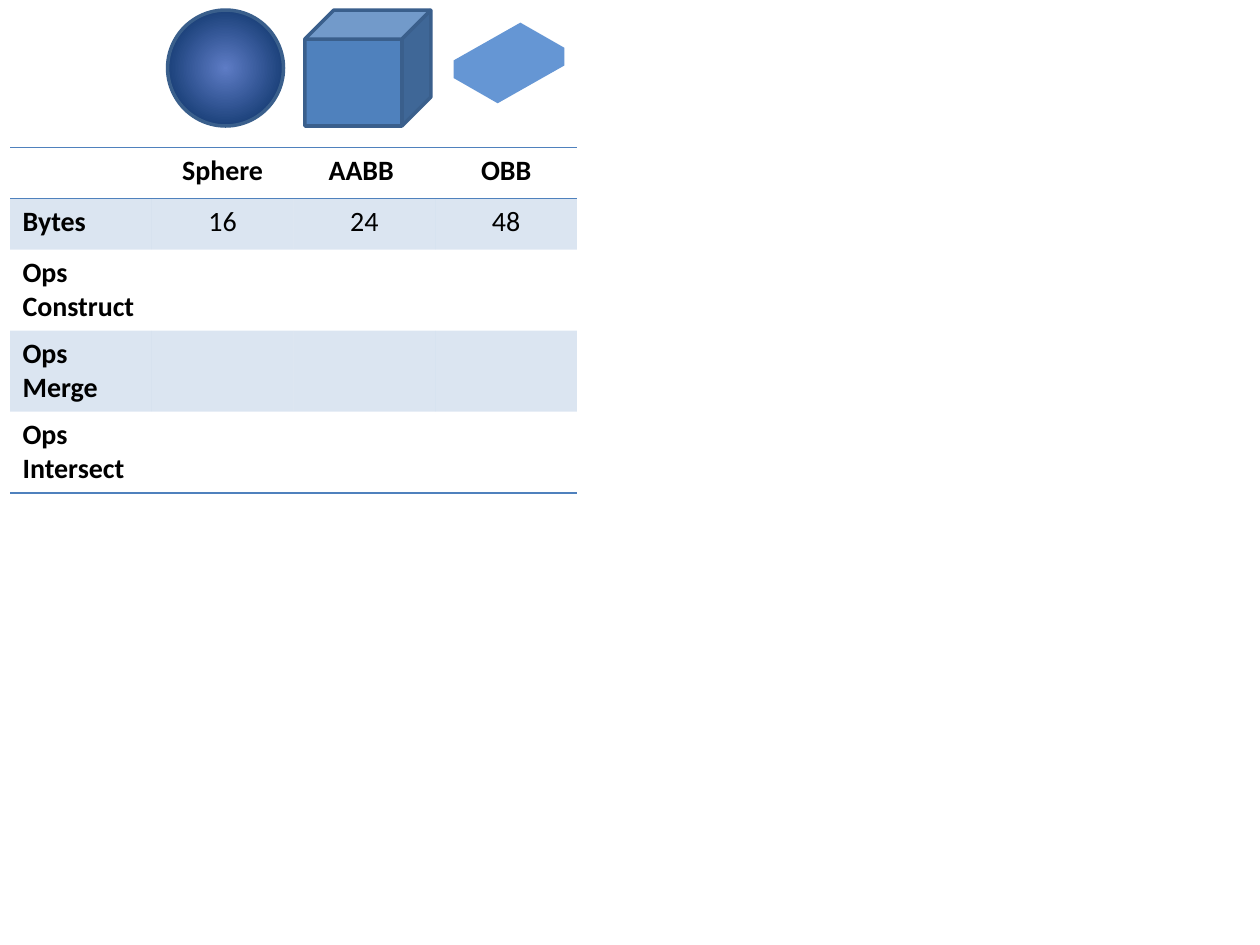
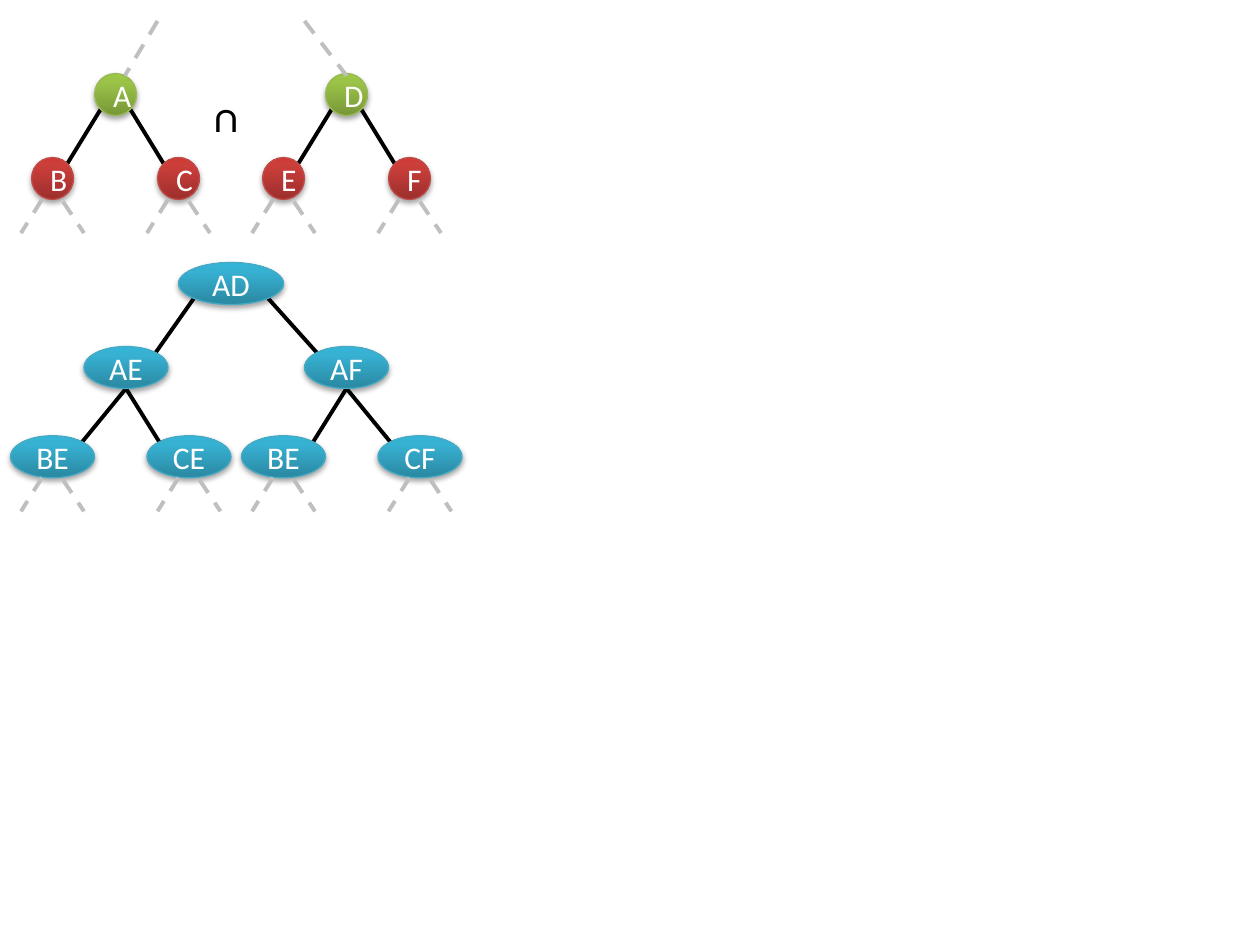
"""Build two slides: a bounding volume comparison and a pair of merged hierarchies."""
from math import sqrt

from pptx import Presentation
from pptx.dml.color import RGBColor
from pptx.enum.dml import MSO_LINE
from pptx.enum.shapes import MSO_CONNECTOR, MSO_SHAPE
from pptx.enum.text import MSO_ANCHOR, MSO_AUTO_SIZE, PP_ALIGN
from pptx.oxml import parse_xml
from pptx.oxml.ns import nsdecls, qn
from pptx.util import Inches, Pt

STRAIGHT = MSO_CONNECTOR.STRAIGHT
ELLIPSE, CUBE = MSO_SHAPE.OVAL, MSO_SHAPE.CUBE
CENTER, LEFT = PP_ALIGN.CENTER, PP_ALIGN.LEFT
MIDDLE = MSO_ANCHOR.MIDDLE
FIT_SHAPE = MSO_AUTO_SIZE.SHAPE_TO_FIT_TEXT
DASH = MSO_LINE.DASH

FONT = "Calibri"
BLACK = RGBColor(0x00, 0x00, 0x00)
WHITE = RGBColor(0xFF, 0xFF, 0xFF)
GRAY = RGBColor(0xBF, 0xBF, 0xBF)
BLUE = RGBColor(0x4F, 0x81, 0xBD)
DARK_BLUE = RGBColor(0x3A, 0x5F, 0x8C)
LIGHT_BLUE = RGBColor(0x65, 0x96, 0xD4)
GREEN_LINE = RGBColor(0x98, 0xB9, 0x55)
RED_LINE = RGBColor(0xBF, 0x4C, 0x48)
TEAL_LINE = RGBColor(0x46, 0xAA, 0xC5)

NO_TABLE_STYLE = "{2D5ABB26-0587-4C30-8999-92F81FD0307C}"
UPWARD = '<a:lin ang="16200000" scaled="0"/>'
RADIAL = '<a:path path="circle"><a:fillToRect l="50000" t="50000" r="50000" b="50000"/></a:path>'
SPHERE_STOPS = [(0, "5E7CC5"), (100, "00295C")]
NODE_STYLES = {
    "green": ([(0, "779737"), (80, "9BC348"), (100, "9DC746")], GREEN_LINE),
    "red": ([(0, "9C2F2D"), (80, "CB3E3A"), (100, "CE3B37")], RED_LINE),
    "teal": ([(0, "2A88A2"), (80, "37B1D2"), (100, "34B4D6")], TEAL_LINE),
}

VOLUME_ROWS = [
    ("", "Sphere", "AABB ", "OBB"),
    ("Bytes", "16", "24", "48"),
    ("Ops\nConstruct", "", "", ""),
    ("Ops Merge", "", "", ""),
    ("Ops\nIntersect", "", "", ""),
]
OBB_SCALE = Inches(0.01)
OBB_OUTLINE = [(360, 48), (413, 18), (448, 38), (448, 52), (395, 82), (360, 62)]

UNIT = 1 / 12
NODE_HEIGHT = 4
INPUT_TREES = [("A", "B", "C", 0), ("D", "E", "F", 22)]
ROOT_STUBS = [(15, 2, 11.9, 7.2), (29, 2, 33, 7.2)]
MERGED_NODES = [
    ("AD", 17, 25, 10), ("AE", 8, 33, 8), ("AF", 29, 33, 8),
    ("BE", 1, 41.5, 8), ("CE", 14, 41.5, 8), ("BE", 23, 41.5, 8), ("CF", 36, 41.5, 8),
]
MERGED_CHILDREN = {0: (1, 2), 1: (3, 4), 2: (5, 6)}


def style_runs(frame, size, color, bold=False, align=LEFT):
    for paragraph in frame.paragraphs:
        paragraph.alignment = align
        for run in paragraph.runs:
            run.font.name, run.font.size, run.font.bold = FONT, Pt(size), bold
            run.font.color.rgb = color


def add_solid(slide, preset, box, line_color, line_width):
    solid = slide.shapes.add_shape(preset, *map(Inches, box))
    solid.shadow.inherit = False
    solid.line.color.rgb = line_color
    solid.line.width = Pt(line_width)
    return solid


def fill_gradient(shape, stops, direction):
    marks = "".join(f'<a:gs pos="{share * 1000}"><a:srgbClr val="{color}"/></a:gs>' for share, color in stops)
    shape._element.spPr.insert(2, parse_xml(
        f'<a:gradFill {nsdecls("a")} rotWithShape="1"><a:gsLst>{marks}</a:gsLst>{direction}</a:gradFill>'))


def add_segment(slide, start, end, color=BLACK, dash=None):
    segment = slide.shapes.add_connector(STRAIGHT, *(Inches(v * UNIT) for v in (*start, *end)))
    segment.line.color.rgb = color
    segment.line.width = Pt(2.25)
    segment.line.dash_style = dash
    segment._element.spPr.append(parse_xml(f'<a:effectLst {nsdecls("a")}/>'))


def add_node(slide, node, style):
    label, left, top, width = node
    stops, line_color = NODE_STYLES[style]
    oval = add_solid(slide, ELLIPSE, [v * UNIT for v in (left, top, width, NODE_HEIGHT)], line_color, 0.75)
    fill_gradient(oval, stops, UPWARD)
    oval._element.spPr.find(qn("a:effectLst")).append(parse_xml(
        f'<a:outerShdw {nsdecls("a")} blurRad="{Pt(3.1)}" dist="{Pt(1.8)}" dir="5400000" rotWithShape="0">'
        '<a:srgbClr val="000000"><a:alpha val="35000"/></a:srgbClr></a:outerShdw>'))
    oval.text_frame.text = label
    oval.text_frame.vertical_anchor = MIDDLE
    style_runs(oval.text_frame, 18, WHITE, align=CENTER)


def rim(node, across, down):
    _, left, top, width = node
    return left + width / 2 * (1 + across), top + NODE_HEIGHT / 2 * (1 + down)


def add_edge(slide, parent, child, side, from_bottom=False):
    diagonal = 1 / sqrt(2)
    start = rim(parent, 0, 1) if from_bottom else rim(parent, side * diagonal, diagonal)
    add_segment(slide, start, rim(child, -side * diagonal, -diagonal))


def add_leaf_stubs(slide, leaf):
    middle, bottom = rim(leaf, 0, 1)
    for side, gap in ((-1, 0), (1, 0.2)):
        add_segment(slide, (middle + side, bottom + gap), (middle + 3 * side, bottom + 3.2), GRAY, DASH)


def border(cell, edge):
    cell._tc.get_or_add_tcPr().insert(0, parse_xml(
        f'<a:{edge} {nsdecls("a")} w="{Pt(1)}"><a:solidFill><a:srgbClr val="{BLUE}"/></a:solidFill></a:{edge}>'))


def add_volume_table(slide):
    row_count, column_count = len(VOLUME_ROWS), len(VOLUME_ROWS[0])
    frame = slide.shapes.add_table(
        row_count, column_count, Inches(0.08), Inches(1.17), Inches(4.5), Inches(0.405 * row_count))
    table = frame.table
    table._tbl.tblPr.find(qn("a:tableStyleId")).text = NO_TABLE_STYLE
    for r, row in enumerate(VOLUME_ROWS):
        for c, text in enumerate(row):
            cell = table.cell(r, c)
            cell.text_frame.text = text
            style_runs(cell.text_frame, 16, BLACK, r == 0 or c == 0, CENTER if c else LEFT)
            if r % 2:
                cell.fill.solid()
                cell.fill.fore_color.rgb = BLUE
                tint = cell._tc.tcPr.find(".//" + qn("a:srgbClr"))
                tint.append(parse_xml(f'<a:alpha {nsdecls("a")} val="20000"/>'))
            else:
                cell.fill.background()
            if r in (0, row_count - 1):
                border(cell, "lnB")
            if r == 0:
                border(cell, "lnT")


def build_volumes(slide):
    box = add_solid(slide, CUBE, (2.42, 0.08, 1, 0.92), DARK_BLUE, 2)
    box.fill.solid()
    box.fill.fore_color.rgb = BLUE
    outline = slide.shapes.build_freeform(*OBB_OUTLINE[0], scale=OBB_SCALE)
    outline.add_line_segments(OBB_OUTLINE[1:], close=True)
    oriented_box = outline.convert_to_shape()
    oriented_box.shadow.inherit = False
    oriented_box.fill.solid()
    oriented_box.fill.fore_color.rgb = LIGHT_BLUE
    oriented_box.line.fill.background()
    sphere = add_solid(slide, ELLIPSE, (1.33, 0.08, 0.92, 0.92), DARK_BLUE, 2)
    fill_gradient(sphere, SPHERE_STOPS, RADIAL)
    add_volume_table(slide)


def build_hierarchies(slide):
    leaves = MERGED_NODES[3:]
    for root_label, left_label, right_label, shift in INPUT_TREES:
        root = (root_label, 9 + shift, 7, NODE_HEIGHT)
        children = [(left_label, 3 + shift, 15, NODE_HEIGHT), (right_label, 15 + shift, 15, NODE_HEIGHT)]
        for child, side in zip(children, (-1, 1)):
            add_edge(slide, root, child, side)
        add_node(slide, root, "green")
        for child in children:
            add_node(slide, child, "red")
        leaves = leaves + children
    for parent, children in MERGED_CHILDREN.items():
        for child, side in zip(children, (-1, 1)):
            add_edge(slide, MERGED_NODES[parent], MERGED_NODES[child], side, parent > 0)
    for node in MERGED_NODES:
        add_node(slide, node, "teal")
    for x1, y1, x2, y2 in ROOT_STUBS:
        add_segment(slide, (x1, y1), (x2, y2), GRAY, DASH)
    for leaf in leaves:
        add_leaf_stubs(slide, leaf)
    intersection = slide.shapes.add_textbox(*map(Inches, (1.58, 0.67, 0.46, 0.5))).text_frame
    intersection.text = "∩"
    intersection.word_wrap = False
    intersection.auto_size = FIT_SHAPE
    style_runs(intersection, 24, BLACK, bold=True)


deck = Presentation()
deck.slide_width, deck.slide_height = Inches(10), Inches(7.5)
for build in (build_volumes, build_hierarchies):
    build(deck.slides.add_slide(deck.slide_layouts[6]))
deck.save("out.pptx")
